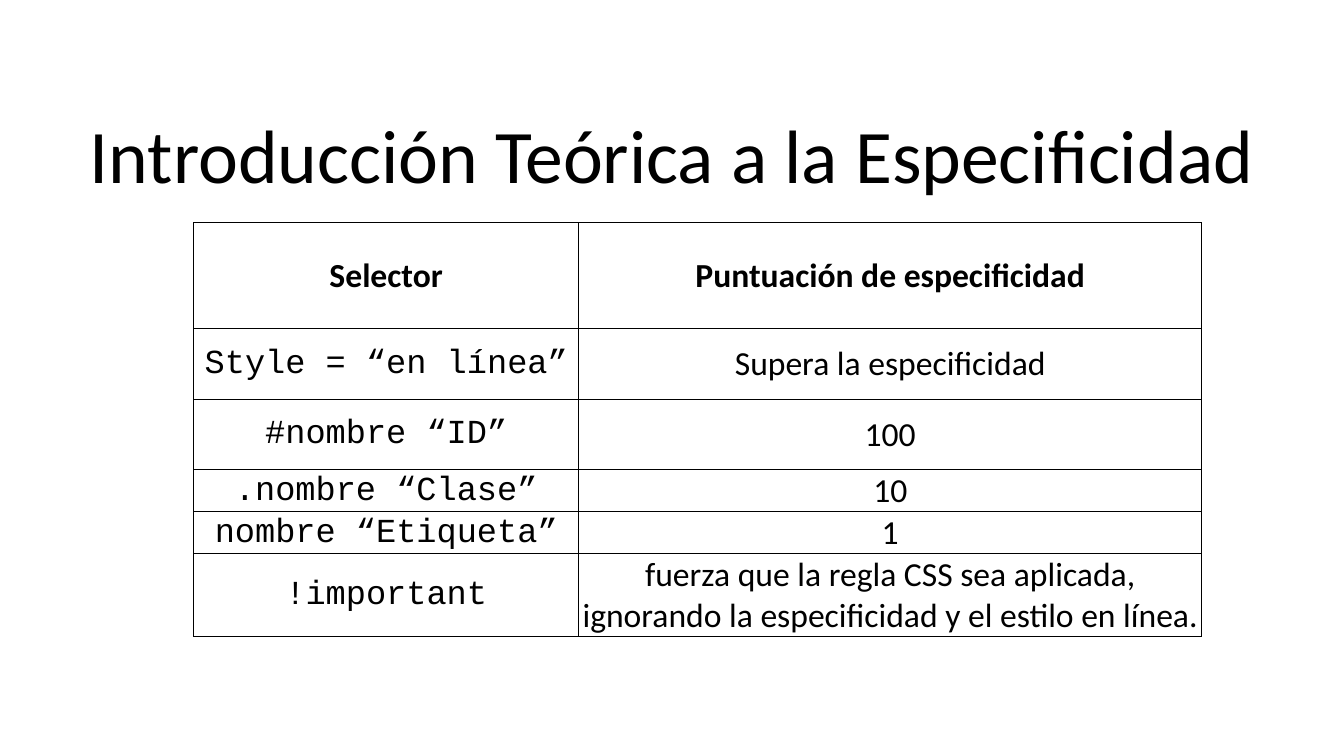
"""Build a slide with a table of CSS specificity scores."""
from pptx import Presentation
from pptx.dml.color import RGBColor
from pptx.enum.text import MSO_ANCHOR, MSO_AUTO_SIZE, PP_ALIGN
from pptx.oxml import parse_xml
from pptx.oxml.ns import nsdecls
from pptx.util import Inches, Pt

TITLE = "Introducción Teórica a la Especificidad"
ROWS = [
    ("Selector", "Puntuación de especificidad"),
    ("Style = “en línea”", "Supera la especificidad"),
    ("#nombre “ID”", "100"),
    (".nombre “Clase”", "10"),
    ("nombre “Etiqueta”", "1"),
    ("!important", "fuerza que la regla CSS sea aplicada, "
                   "ignorando la especificidad y el estilo en línea."),
]
WIDTHS = [3.82, 6.18]
HEIGHTS = [1.05, 0.7, 0.7, 0.36, 0.36, 0.36]

BLACK = RGBColor(0, 0, 0)
SANS, MONO = "Calibri", "Courier New"
CENTER = PP_ALIGN.CENTER
MIDDLE = MSO_ANCHOR.MIDDLE
GROW = MSO_AUTO_SIZE.SHAPE_TO_FIT_TEXT
EDGES = ("lnL", "lnR", "lnT", "lnB")


def style(para, size, face, bold=False):
    para.alignment = CENTER
    font = para.font
    font.size, font.name, font.bold = Pt(size), face, bold
    font.color.rgb = BLACK


def border(cell):
    props = cell._tc.get_or_add_tcPr()
    for spot, edge in enumerate(EDGES):
        props.insert(spot, parse_xml(
            f'<a:{edge} {nsdecls("a")} w="{Pt(0.5)}"><a:solidFill>'
            f'<a:srgbClr val="{BLACK}"/></a:solidFill></a:{edge}>'))


def fill_cell(cell, text, face, bold):
    cell.text = text
    cell.fill.background()
    cell.vertical_anchor = MIDDLE
    cell.margin_left = cell.margin_right = cell.margin_top = Inches(0.01)
    cell.margin_bottom = 0
    style(cell.text_frame.paragraphs[0], 24, face, bold)
    border(cell)


def add_grid(slide):
    frame = slide.shapes.add_table(
        len(ROWS), len(WIDTHS), Inches(1.92), Inches(2.21),
        Inches(sum(WIDTHS)), Inches(sum(HEIGHTS)))
    table = frame.table
    table.first_row = table.horz_banding = False
    for col, width in zip(table.columns, WIDTHS):
        col.width = Inches(width)
    for r, (row, height) in enumerate(zip(table.rows, HEIGHTS)):
        row.height = Inches(height)
        for c, text in enumerate(ROWS[r]):
            face = MONO if r and c == 0 else SANS
            fill_cell(table.cell(r, c), text, face, r == 0)


def add_title(slide):
    box = slide.shapes.add_textbox(
        Inches(0.73), Inches(1.02), Inches(11.87), Inches(1.01))
    frame = box.text_frame
    frame.text = TITLE
    frame.word_wrap = False
    frame.auto_size = GROW
    style(frame.paragraphs[0], 54, SANS)


def main():
    deck = Presentation()
    deck.slide_width, deck.slide_height = Inches(13.33), Inches(7.5)
    slide = deck.slides.add_slide(deck.slide_layouts[6])
    add_grid(slide)
    add_title(slide)
    deck.save("out.pptx")


if __name__ == "__main__":
    main()
